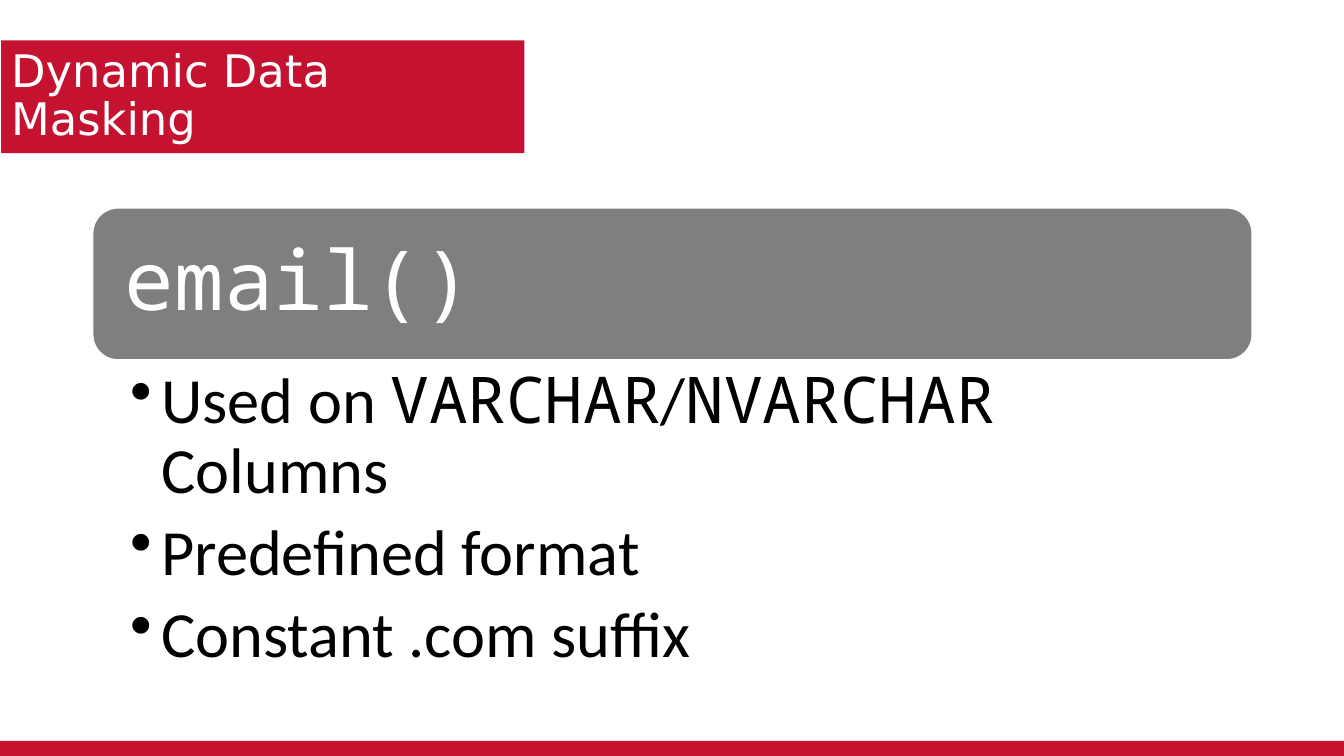
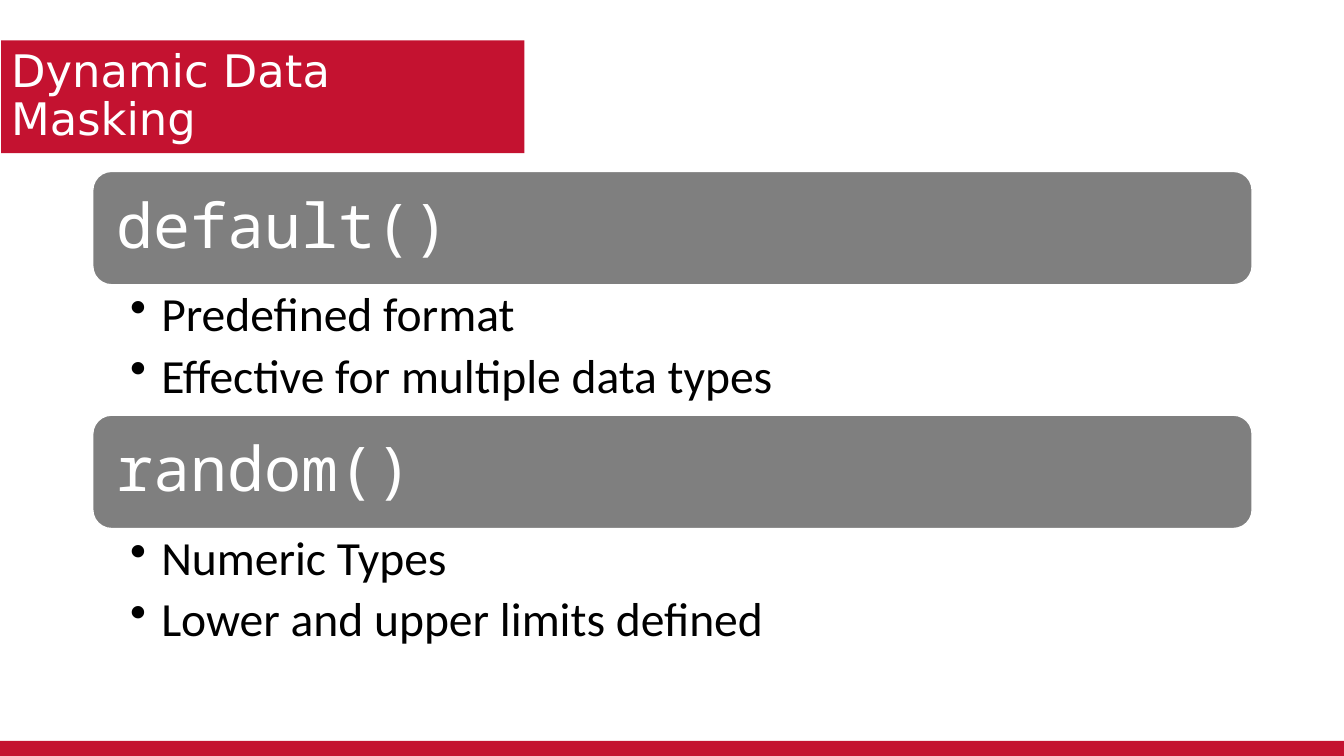
from lxml.etree import SubElement
from pptx import Presentation
from pptx.dml.color import RGBColor
from pptx.enum.shapes import MSO_SHAPE
from pptx.enum.text import MSO_ANCHOR, MSO_AUTO_SIZE, PP_ALIGN
from pptx.oxml.ns import qn
from pptx.util import Inches, Pt

COLORS = {"red": "C41230", "gray": "7F7F7F", "white": "FFFFFF", "black": "000000"}
TITLE, BODY, CODE = "DejaVu Sans", "Calibri", "Noto Sans Mono"
LEFT, WIDTH = 6.9, 86.27


class Deck:
    """Holds the style and the current slide; lengths are percent of the slide."""

    def __init__(self):
        """Start an empty widescreen presentation."""
        self.prs = Presentation()
        self.prs.slide_width = Inches(13.33)
        self.prs.slide_height = Inches(7.5)

    def box(self, x, y, w, h):
        """Turn percent shares into a left, top, width and height."""
        sw, sh = self.prs.slide_width / 100, self.prs.slide_height / 100
        return int(x * sw), int(y * sh), int(w * sw), int(h * sh)

    def fill(self, sp, color):
        """Give a shape a solid fill from the palette."""
        sp.fill.solid()
        sp.fill.fore_color.rgb = RGBColor.from_string(COLORS[color])

    def frame(self, sp, anchor, side, top, right=None):
        """Set wrapping, anchor and insets in inches, and return the text frame."""
        tf = sp.text_frame
        tf.word_wrap = True
        tf.auto_size = MSO_AUTO_SIZE.NONE
        tf.vertical_anchor = anchor
        tf.margin_left = Inches(side)
        tf.margin_right = Inches(side if right is None else right)
        tf.margin_top = tf.margin_bottom = Inches(top)
        return tf

    def add_runs(self, p, runs, size, color):
        """Add (text, font) runs to a left-aligned paragraph."""
        p.alignment = PP_ALIGN.LEFT
        p.line_spacing = 0.9
        for text, font in runs:
            r = p.add_run()
            r.text = text
            r.font.name = font
            r.font.size = Pt(size)
            r.font.color.rgb = RGBColor.from_string(COLORS[color])

    def shape(self, kind, area, color):
        """Add a filled preset shape without a shadow or line."""
        sp = self.s.shapes.add_shape(kind, *self.box(*area))
        sp.shadow.inherit = False
        sp.line.fill.background()
        self.fill(sp, color)
        return sp

    def slide(self, title):
        """Add a slide with the title block and the bottom band."""
        self.s = self.prs.slides.add_slide(self.prs.slide_layouts[5])
        self.shape(MSO_SHAPE.RECTANGLE, (0, 98, 100, 2), "red")
        sp = self.s.shapes.title
        sp.left, sp.top, sp.width, sp.height = self.box(0.08, 5.33, 38.93, 14.93)
        self.fill(sp, "red")
        tf = self.frame(sp, MSO_ANCHOR.MIDDLE, 0.1, 0.05)
        self.add_runs(tf.paragraphs[0], [(title, TITLE)], 32, "white")

    def bar(self, y, h, text, size):
        """Add a rounded heading bar holding a function name."""
        sp = self.shape(MSO_SHAPE.ROUNDED_RECTANGLE, (LEFT, y, WIDTH, h), "gray")
        sp.line.color.rgb = RGBColor.from_string(COLORS["white"])
        sp.line.width = Pt(1)
        inset = size / 240
        tf = self.frame(sp, MSO_ANCHOR.MIDDLE, inset, inset)
        self.add_runs(tf.paragraphs[0], [(text, CODE)], size, "white")

    def bullets(self, y, h, items, size):
        """Add a bulleted list with one list of runs per item."""
        sp = self.s.shapes.add_textbox(*self.box(LEFT, y, WIDTH, h))
        tf = self.frame(sp, MSO_ANCHOR.TOP, 0.37, size / 575, size / 100)
        for i, runs in enumerate(items):
            p = tf.add_paragraph() if i else tf.paragraphs[0]
            pPr = p._p.get_or_add_pPr()
            pPr.set("marL", str(Inches(0.31)))
            pPr.set("indent", str(-Inches(0.31)))
            SubElement(pPr, qn("a:buChar")).set("char", "•")
            p.space_after = Pt(round(size * 0.2))
            self.add_runs(p, runs, size, "black")

    def sections(self, y, bar_h, list_h, bar_size, list_size, sections):
        """Stack heading bars, each followed by its list."""
        for name, items in sections:
            self.bar(y, bar_h, name, bar_size)
            self.bullets(y + bar_h, list_h, items, list_size)
            y += bar_h + list_h


def plain(*texts):
    """Make single-run items in the body font."""
    return [[(text, BODY)] for text in texts]


def main():
    """Build and save the two slides."""
    deck = Deck()
    title = "Dynamic Data Masking"
    columns = [("Used on ", BODY), ("VARCHAR", CODE), ("/", BODY),
               ("NVARCHAR", CODE), (" Columns", BODY)]

    deck.slide(title)
    deck.sections(27.5, 20.1, 34.67, 59, 46, [
        ("email()", [columns] + plain("Predefined format", "Constant .com suffix")),
    ])

    deck.slide(title)
    deck.sections(22.67, 15, 17.25, 44, 34, [
        ("default()", plain("Predefined format", "Effective for multiple data types")),
        ("random()", plain("Numeric Types", "Lower and upper limits defined")),
    ])
    deck.prs.save("out.pptx")


if __name__ == "__main__":
    main()
